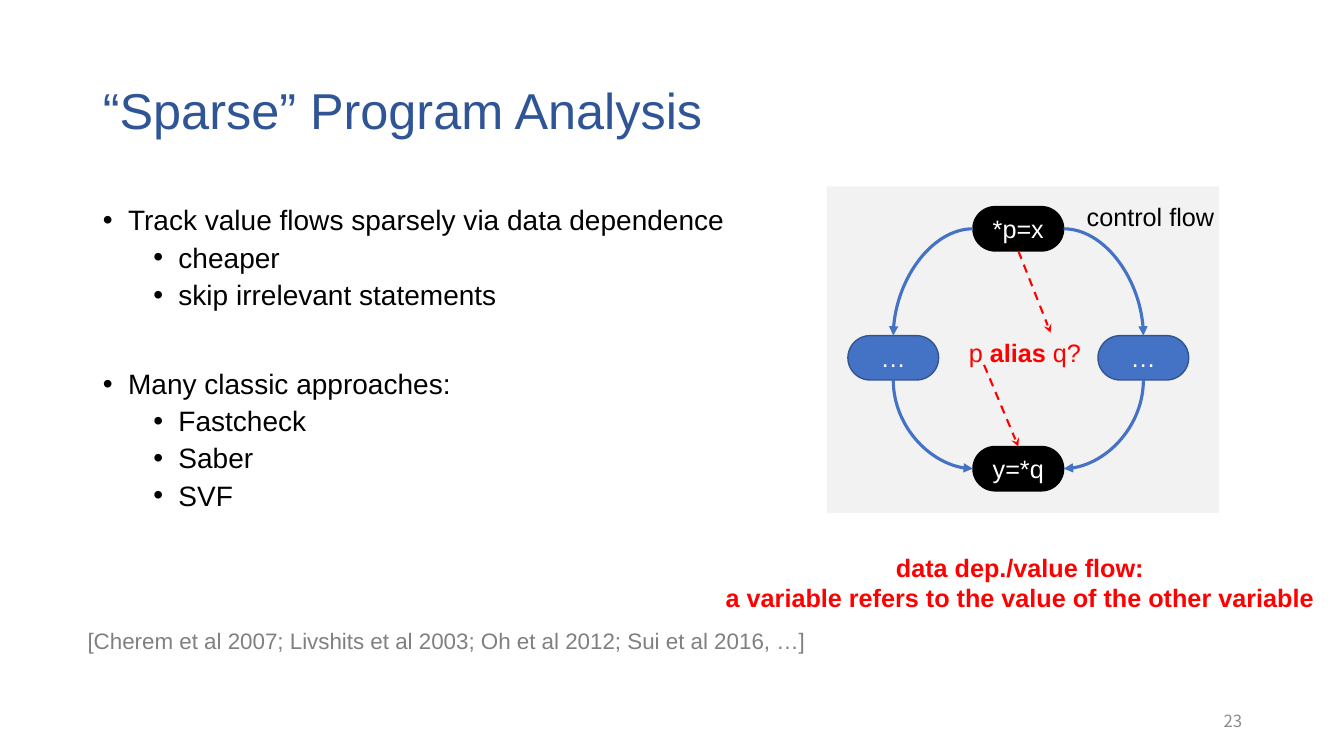
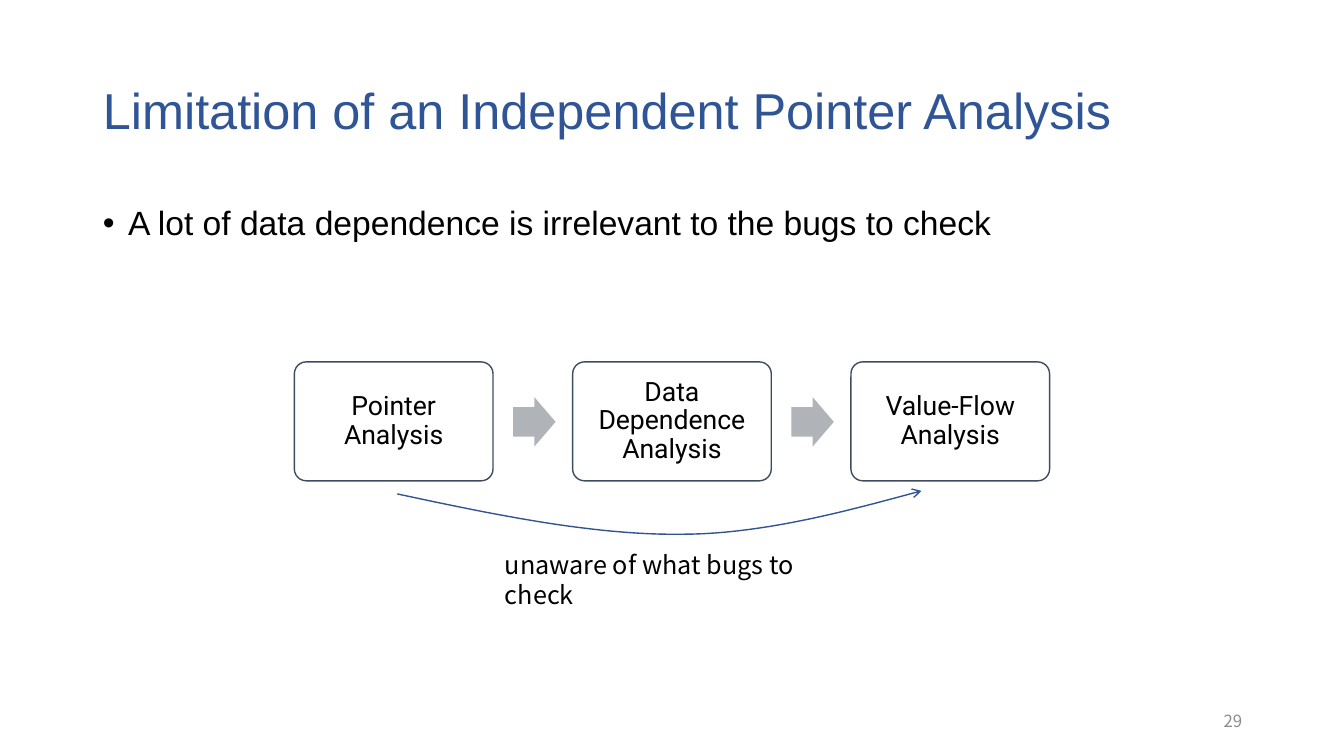
import dataclasses

import lxml.etree
import pptx
import pptx.dml.color
import pptx.enum.dml
import pptx.enum.shapes
import pptx.enum.text
import pptx.oxml.ns
import pptx.util

Inches = pptx.util.Inches
qn = pptx.oxml.ns.qn
SHAPES = pptx.enum.shapes.MSO_SHAPE
CONNECTORS = pptx.enum.shapes.MSO_CONNECTOR
ALIGN = pptx.enum.text.PP_ALIGN
ANCHOR = pptx.enum.text.MSO_ANCHOR
TOP, LEFT, BOTTOM, RIGHT = range(4)


@dataclasses.dataclass(frozen=True)
class Theme:
    font: str = "Arial"
    process_font: str = "Roboto"
    note_font: str = "Noto Sans CJK SC"
    title: str = "2F5597"
    text: str = "000000"
    inverse: str = "FFFFFF"
    muted: str = "808080"
    number: str = "8C8C8C"
    alert: str = "FF0000"
    panel: str = "F2F2F2"
    node: str = "4472C4"
    node_line: str = "325491"
    process_line: str = "3E4C60"
    process_arrow: str = "B0B4B9"
    title_size: float = 36
    lead_size: float = 24
    body_size: float = 20
    process_size: float = 19
    label_size: float = 18
    citation_size: float = 16
    number_size: float = 12


THEME = Theme()


def rgb(color):
    return pptx.dml.color.RGBColor.from_string(color)


# Text
def write_text(paragraph, text, *, size=THEME.label_size, color=THEME.text,
               font=THEME.font, bold=False, align=None, line_spacing=None,
               space_before=None):
    """Append one formatted run and set the paragraph format."""
    if align is not None:
        paragraph.alignment = align
    if line_spacing is not None:
        paragraph.line_spacing = line_spacing
    if space_before is not None:
        paragraph.space_before = pptx.util.Pt(space_before)
    run = paragraph.add_run()
    run.text = text
    run.font.size = pptx.util.Pt(size)
    run.font.name = font
    run.font.bold = bold
    run.font.color.rgb = rgb(color)


def add_label(slide, box, *lines, wrap=False, anchor=ANCHOR.TOP, **text_format):
    text_frame = slide.shapes.add_textbox(*map(Inches, box)).text_frame
    text_frame.word_wrap = wrap
    text_frame.vertical_anchor = anchor
    for index, line in enumerate(lines):
        paragraph = text_frame.add_paragraph() if index else text_frame.paragraphs[0]
        write_text(paragraph, line, **text_format)
    return text_frame


def set_bullet(paragraph, level):
    paragraph.level = level
    properties = paragraph._p.get_or_add_pPr()
    properties.set("marL", str(Inches(0.25 + 0.5 * level)))
    properties.set("indent", str(Inches(-0.25)))
    lxml.etree.SubElement(properties, qn("a:buChar")).set("char", "•")


# Slide frame: title, bulleted body and page number
def place(shape, box):
    shape.left, shape.top, shape.width, shape.height = map(Inches, box)


def add_content_slide(presentation, title, items, number, body_size):
    """Items are (level, text, space before in points)."""
    slide = presentation.slides.add_slide(presentation.slide_layouts[1])
    title_shape, body = slide.placeholders
    place(title_shape, (0.92, 0.4, 11.5, 1.45))
    place(body, (0.92, 2, 11.5, 4.76))
    for shape, anchor in ((title_shape, ANCHOR.MIDDLE), (body, ANCHOR.TOP)):
        shape.text_frame.auto_size = pptx.enum.text.MSO_AUTO_SIZE.NONE
        shape.text_frame.vertical_anchor = anchor
    write_text(title_shape.text_frame.paragraphs[0], title, size=THEME.title_size,
               color=THEME.title, align=ALIGN.LEFT, line_spacing=0.9)

    for index, (level, text, space_before) in enumerate(items):
        frame = body.text_frame
        paragraph = frame.add_paragraph() if index else frame.paragraphs[0]
        set_bullet(paragraph, level)
        write_text(paragraph, text, size=body_size, line_spacing=0.9,
                   space_before=space_before)

    add_label(slide, (9.42, 6.95, 3, 0.4), number, wrap=True, anchor=ANCHOR.MIDDLE,
              size=THEME.number_size, color=THEME.number, font=THEME.note_font,
              align=ALIGN.RIGHT)
    return slide


# Shapes and lines
def add_box(slide, kind, box, fill, line=None, adjustments=()):
    shape = slide.shapes.add_shape(kind, *map(Inches, box))
    shape.shadow.inherit = False
    shape.fill.solid()
    shape.fill.fore_color.rgb = rgb(fill)
    if line:
        shape.line.color.rgb = rgb(line)
        shape.line.width = pptx.util.Pt(1)
    else:
        shape.line.fill.background()
    for index, value in enumerate(adjustments):
        shape.adjustments[index] = value
    return shape


def style_line(shape, color, width, arrow, end="tailEnd", dash=None):
    shape.line.color.rgb = rgb(color)
    shape.line.width = pptx.util.Pt(width)
    if dash is not None:
        shape.line.dash_style = dash
    outline = shape.element.spPr.find(qn("a:ln"))
    lxml.etree.SubElement(outline, qn(f"a:{end}")).set("type", arrow)


def add_connector(slide, kind, start, finish, **line_format):
    connector = slide.shapes.add_connector(kind, *map(Inches, (*start, *finish)))
    style_line(connector, **line_format)
    lxml.etree.SubElement(connector.element.spPr, qn("a:effectLst"))
    return connector


def add_node(slide, center, text, fill, line):
    width, height = 0.9, 0.44
    box = (center[0] - width / 2, center[1] - height / 2, width, height)
    node = add_box(slide, SHAPES.ROUNDED_RECTANGLE, box, fill, line, [0.5])
    node.text_frame.word_wrap = False
    node.text_frame.vertical_anchor = ANCHOR.MIDDLE
    write_text(node.text_frame.paragraphs[0], text, color=THEME.inverse,
               align=ALIGN.CENTER)
    return node


def add_flow_curve(slide, hub, hub_side, branch, branch_side, arrow_end):
    """A quarter curve that leaves the hub sideways and meets the branch vertically."""
    curve = add_connector(slide, CONNECTORS.CURVE, (0, 0), (1, 1), color=THEME.node,
                          width=2.25, arrow="triangle", end=arrow_end)
    curve.element.spPr.find(qn("a:prstGeom")).set("prst", "curvedConnector2")
    curve.begin_connect(hub, hub_side)
    curve.end_connect(branch, branch_side)


def bezier_points(start, control_1, control_2, finish, steps=24):
    for step in range(1, steps + 1):
        t = step / steps
        weights = ((1 - t) ** 3, 3 * t * (1 - t) ** 2, 3 * t ** 2 * (1 - t), t ** 3)
        points = (start, control_1, control_2, finish)
        yield tuple(Inches(sum(weight * point[axis]
                               for weight, point in zip(weights, points)))
                    for axis in (0, 1))


# Diagrams
def add_control_flow(slide):
    add_box(slide, SHAPES.RECTANGLE, (8.2, 1.85, 3.89, 3.24), THEME.panel)
    add_label(slide, (10.68, 1.95, 1.48, 0.4), "control flow")

    middle, spread = 10.1, 1.24
    branches = [add_node(slide, (middle + offset, 3.55), "…", THEME.node, THEME.node_line)
                for offset in (-spread, spread)]
    store, load = [add_node(slide, (middle, y), text, THEME.text, THEME.text)
                   for y, text in ((2.27, "*p=x"), (4.65, "y=*q"))]
    for hub, branch_side, arrow_end in ((store, TOP, "tailEnd"), (load, BOTTOM, "headEnd")):
        for branch, hub_side in zip(branches, (LEFT, RIGHT)):
            add_flow_curve(slide, hub, hub_side, branch, branch_side, arrow_end)

    # Value flow through the alias question
    dashed = dict(color=THEME.alert, width=1.5, arrow="stealth",
                  dash=pptx.enum.dml.MSO_LINE.DASH)
    add_connector(slide, CONNECTORS.STRAIGHT, (middle, 2.49), (10.42, 3.3),
                  **dashed).begin_connect(store, BOTTOM)
    add_connector(slide, CONNECTORS.STRAIGHT, (9.76, 3.62), (middle, 4.43),
                  **dashed).end_connect(load, TOP)
    question = add_label(slide, (9.51, 3.3, 1.32, 0.4), "p ", color=THEME.alert)
    write_text(question.paragraphs[0], "alias", color=THEME.alert, bold=True)
    write_text(question.paragraphs[0], " q?", color=THEME.alert)


def add_process(slide, steps):
    left, top, width, height, pitch = 2.92, 3.59, 1.97, 1.18, 2.76
    for index, text in enumerate(steps):
        x = left + index * pitch
        if index:
            add_box(slide, SHAPES.RIGHT_ARROW, (x - 0.59, 3.94, 0.42, 0.49),
                    THEME.process_arrow, adjustments=(0.6, 0.5))
        step = add_box(slide, SHAPES.ROUNDED_RECTANGLE, (x, top, width, height),
                       THEME.inverse, THEME.process_line, [0.1])
        frame = step.text_frame
        frame.word_wrap = True
        frame.vertical_anchor = ANCHOR.MIDDLE
        frame.margin_left = frame.margin_right = Inches(0.08)
        frame.margin_top = frame.margin_bottom = Inches(0.08)
        write_text(frame.paragraphs[0], text, size=THEME.process_size,
                   font=THEME.process_font, align=ALIGN.CENTER, line_spacing=0.9)


def add_bypass_curve(slide):
    start, bottom, finish = (3.94, 4.9), (6.76, 5.3), (9.14, 4.87)
    builder = slide.shapes.build_freeform(*map(Inches, start))
    builder.add_line_segments(
        [*bezier_points(start, (4.92, 5.11), (5.89, 5.31), bottom),
         *bezier_points(bottom, (7.63, 5.3), (8.57, 5.02), finish)], close=False)
    curve = builder.convert_to_shape()
    curve.shadow.inherit = False
    curve.fill.background()
    style_line(curve, THEME.node_line, 1, "arrow")


# Slides
def build_sparse_analysis(presentation):
    items = [
        (0, "Track value flows sparsely via data dependence", 0),
        (1, "cheaper", 5),
        (1, "skip irrelevant statements", 5),
        (0, "Many classic approaches:", 42),
        (1, "Fastcheck", 5),
        (1, "Saber", 5),
        (1, "SVF", 5),
    ]
    slide = add_content_slide(presentation, "“Sparse” Program Analysis", items, "23",
                              THEME.body_size)
    add_label(slide, (0.77, 6.17, 7.42, 0.37),
              "[Cherem et al 2007; Livshits et al 2003; Oh et al 2012; Sui et al 2016, …]",
              size=THEME.citation_size, color=THEME.muted)
    add_control_flow(slide)
    add_label(slide, (7.07, 5.43, 6.09, 0.71), "data dep./value flow:",
              "a variable refers to the value of the other variable",
              color=THEME.alert, bold=True, align=ALIGN.CENTER)


def build_limitation(presentation):
    items = [(0, "A lot of data dependence is irrelevant to the bugs to check", 0)]
    slide = add_content_slide(presentation, "Limitation of an Independent Pointer Analysis",
                              items, "29", THEME.lead_size)
    add_process(slide, ("Pointer Analysis", "Data Dependence Analysis",
                        "Value-Flow Analysis"))
    add_bypass_curve(slide)
    add_label(slide, (4.91, 5.4, 3.4, 0.7), "unaware of what bugs to check", wrap=True,
              font=THEME.note_font, line_spacing=pptx.util.Pt(21.5))


def main():
    presentation = pptx.Presentation()
    presentation.slide_width = Inches(13.33)
    presentation.slide_height = Inches(7.5)
    build_sparse_analysis(presentation)
    build_limitation(presentation)
    presentation.save("out.pptx")


if __name__ == "__main__":
    main()
